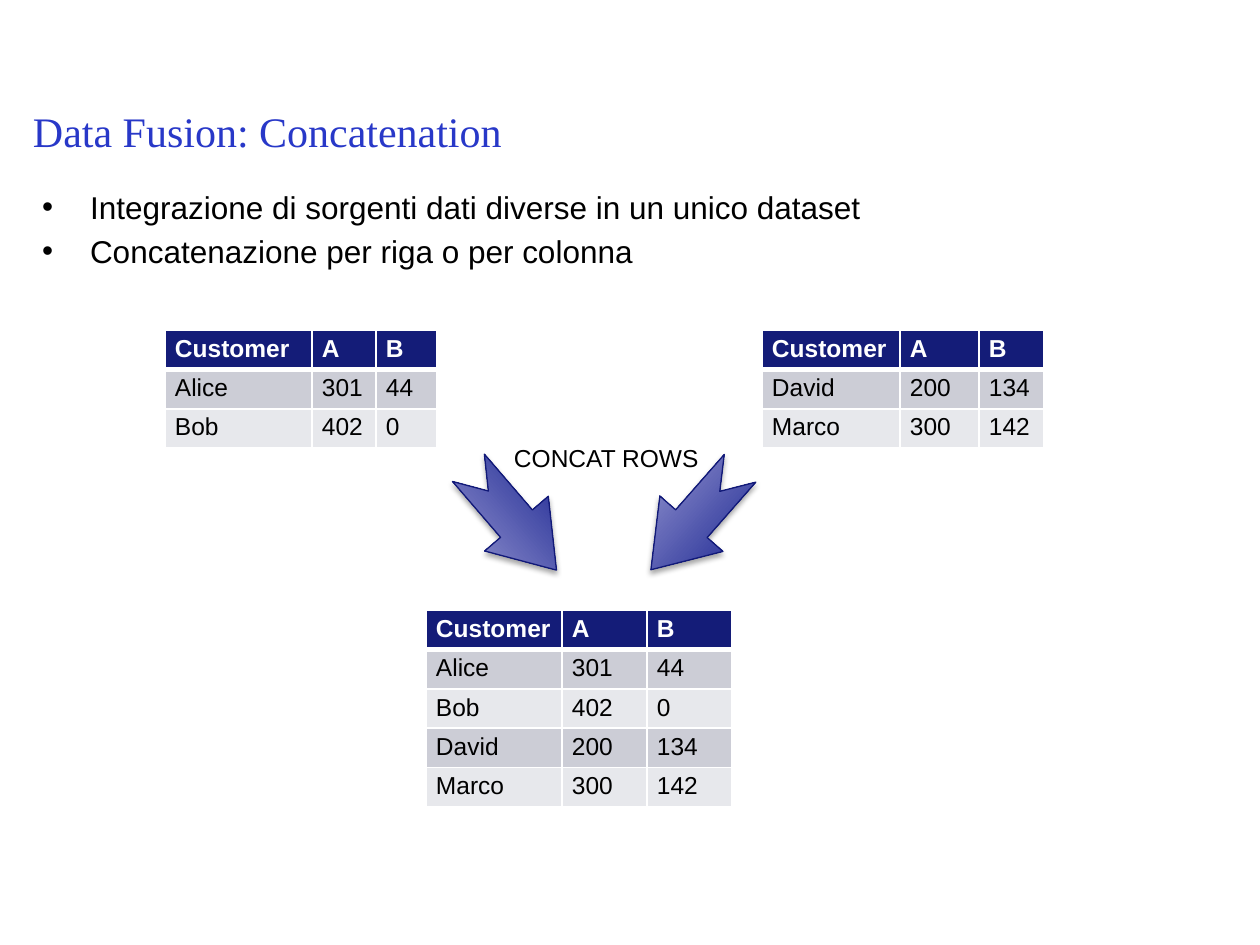
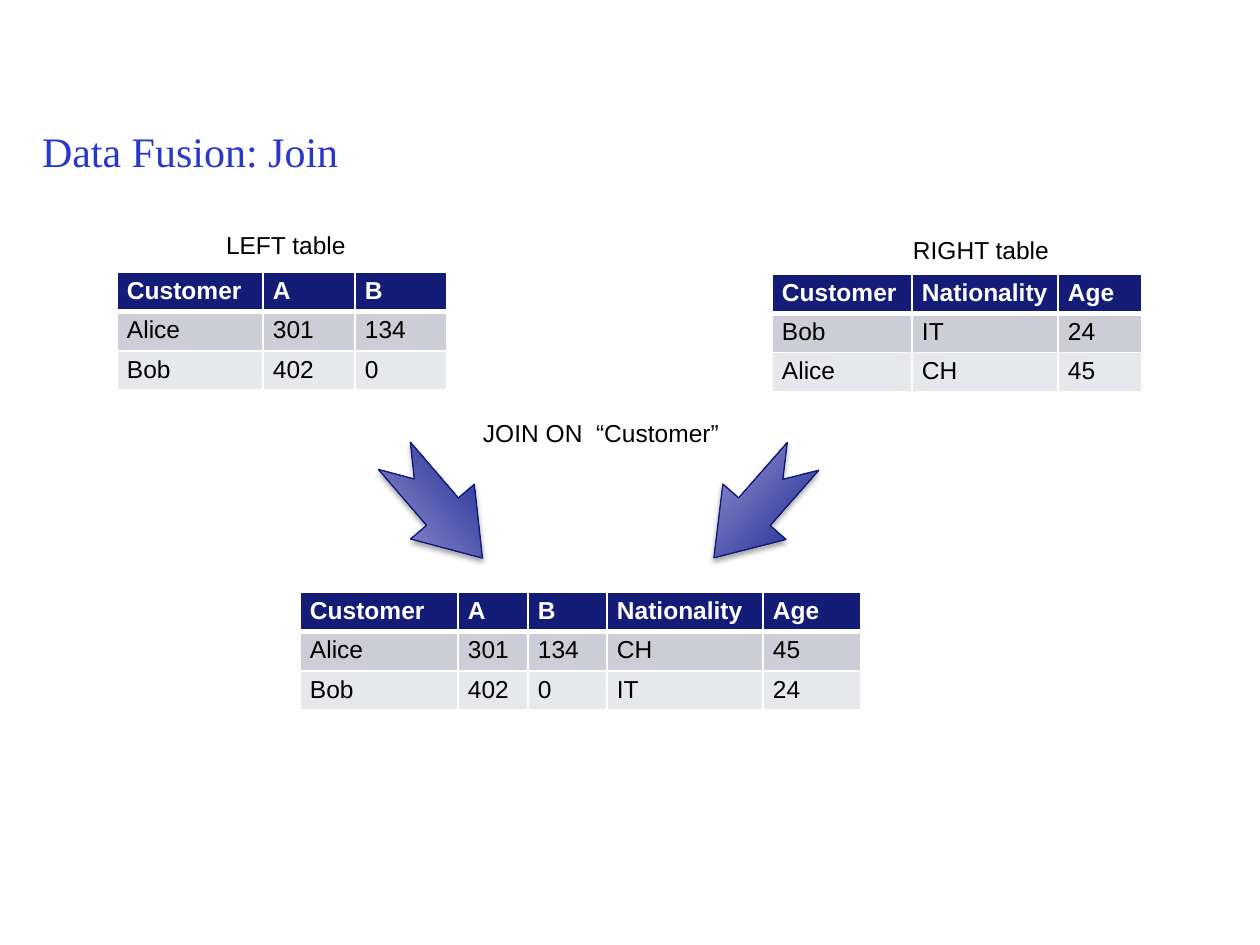
from lxml import etree
from pptx import Presentation, util as u
from pptx.dml.color import RGBColor
from pptx.enum import shapes, text
from pptx.oxml.ns import qn

PX = 914400 / 126
SERIF, SANS = "Times New Roman", "Arial"
BLUE, NAVY, BLACK, WHITE = "2838C8", "141C78", "000000", "FFFFFF"
BANDS = ["CCCDD6", "E7E8EC"]
ARROW_DARK, ARROW_LIGHT, ARROW_LINE = "050F87", "ACADDB", "111978"
ROW_HEIGHT = 39
ARROW_SIZE = (135, 84)
LEFT_TURN, RIGHT_TURN = 49.3, 131.3


def px(length):
    return u.Emu(round(length * PX))


def color(value):
    return RGBColor.from_string(value)


def add_xml(parent, tag, **attributes):
    return etree.SubElement(parent, qn(tag), attributes)


def set_font(para, size, tint, name=SANS, bold=False):
    para.font.size = u.Pt(size)
    para.font.name = name
    para.font.bold = bold
    para.font.color.rgb = color(tint)


def add_text(page, box, lines, size, tint=BLACK, name=SANS, wrap=True):
    frame = page.shapes.add_textbox(*map(px, box)).text_frame
    frame.word_wrap = wrap
    frame.margin_left = frame.margin_right = 0
    frame.margin_top = frame.margin_bottom = 0
    frame.vertical_anchor = text.MSO_ANCHOR.TOP
    frame.text = "\n".join(lines)
    for para in frame.paragraphs:
        set_font(para, size, tint, name)
    return frame


def add_title(page, left, top, title):
    add_text(page, (left, top, 1176, 100), [title], 24, BLUE, SERIF)


def add_label(page, box, label):
    add_text(page, box, [label], 14, wrap=False)


def add_bullets(page, box, lines):
    frame = add_text(page, box, lines, 18)
    for index, para in enumerate(frame.paragraphs):
        para.space_before = u.Pt(3.6 if index else 0)
        properties = para._p.get_or_add_pPr()
        properties.set("marL", str(px(48)))
        properties.set("indent", str(px(-48)))
        add_xml(properties, "a:buFont", typeface=SANS)
        add_xml(properties, "a:buChar", char="•")


def set_borders(cell, row):
    """White rules, thicker between the header and the body."""
    properties = cell._tc.get_or_add_tcPr()
    widths = {"L": 1, "R": 1, "T": 3 if row == 1 else 1, "B": 3 if row == 0 else 1}
    for index, (side, width) in enumerate(widths.items()):
        line = etree.Element(qn(f"a:ln{side}"), w=str(u.Pt(width)))
        add_xml(add_xml(line, "a:solidFill"), "a:srgbClr", val=WHITE)
        properties.insert(index, line)


def add_data_table(page, left, top, widths, rows):
    box = (left, top, sum(widths), ROW_HEIGHT * len(rows))
    table = page.shapes.add_table(len(rows), len(widths), *map(px, box)).table
    for column, width in zip(table.columns, widths):
        column.width = px(width)
    for r, values in enumerate(rows):
        header = r == 0
        table.rows[r].height = px(ROW_HEIGHT)
        for c, value in enumerate(values):
            cell = table.cell(r, c)
            cell.text = value
            # The narrower right margin keeps long headers on one line
            cell.margin_left, cell.margin_right = px(10), px(8)
            cell.margin_top = cell.margin_bottom = px(5)
            cell.fill.solid()
            cell.fill.fore_color.rgb = color(NAVY if header else BANDS[(r - 1) % 2])
            set_font(cell.text_frame.paragraphs[0], 14,
                     WHITE if header else BLACK, bold=header)
            set_borders(cell, r)


def add_arrow(page, left, top, turn):
    arrow = page.shapes.add_shape(shapes.MSO_SHAPE.NOTCHED_RIGHT_ARROW,
                                  *map(px, (left, top, *ARROW_SIZE)))
    arrow.rotation = turn
    arrow.adjustments[0], arrow.adjustments[1] = 0.5, 0.73
    arrow.fill.gradient()
    arrow.fill.gradient_angle = 90
    for stop, tint in zip(arrow.fill.gradient_stops, (ARROW_DARK, ARROW_LIGHT)):
        stop.color.rgb = color(tint)
    arrow.line.color.rgb = color(ARROW_LINE)
    arrow.line.width = u.Pt(0.75)
    arrow.shadow.inherit = False
    # Mirrored frame and soft shadow below
    properties = arrow._element.spPr
    properties.find(qn("a:xfrm")).set("flipV", "1")
    shadow = add_xml(properties.find(qn("a:effectLst")), "a:outerShdw",
                     blurRad="40000", dist="23000", dir="5400000", rotWithShape="0")
    add_xml(add_xml(shadow, "a:srgbClr", val=BLACK), "a:alpha", val="35000")


def add_arrow_pair(page, left, right, top):
    add_arrow(page, left, top, LEFT_TURN)
    add_arrow(page, right, top, RIGHT_TURN)


def build_concatenation(page):
    header = ["Customer", "A", "B"]
    first = [["Alice", "301", "44"], ["Bob", "402", "0"]]
    second = [["David", "200", "134"], ["Marco", "300", "142"]]

    add_title(page, 33, 106, "Data Fusion: Concatenation")
    add_bullets(page, (42, 188, 1176, 639), [
        "Integrazione di sorgenti dati diverse in un unico dataset",
        "Concatenazione per riga o per colonna"])
    # Sources and their stacked rows
    add_data_table(page, 165, 330, [147, 64, 61], [header] + first)
    add_data_table(page, 762, 330, [138, 79, 65], [header] + second)
    add_data_table(page, 426, 610, [136, 85, 85], [header] + first + second)
    add_arrow_pair(page, 445, 628, 477)
    add_label(page, (514, 443, 189, 30), "CONCAT ROWS")


def build_join(page):
    left = [["Customer", "A", "B"], ["Alice", "301", "134"], ["Bob", "402", "0"]]
    right = [["Customer", "Nationality", "Age"], ["Bob", "IT", "24"],
             ["Alice", "CH", "45"]]
    matches = {row[0]: row[1:] for row in right}
    joined = [row + matches[row[0]] for row in left]

    add_title(page, 42, 126, "Data Fusion: Join")
    # Sources and the joined table
    add_data_table(page, 117, 272, [146, 92, 92], left)
    add_data_table(page, 772, 274, [140, 146, 84], right)
    add_data_table(page, 300, 592, [158, 70, 79, 156, 98], joined)
    add_arrow_pair(page, 371, 691, 465)
    add_label(page, (483, 418, 237, 30), "JOIN ON  “Customer”")
    add_label(page, (226, 230, 121, 30), "LEFT table")
    add_label(page, (913, 235, 137, 30), "RIGHT table")


def main():
    deck = Presentation()
    deck.slide_width, deck.slide_height = px(1260), px(945)
    for build in (build_concatenation, build_join):
        build(deck.slides.add_slide(deck.slide_layouts[6]))
    deck.save("out.pptx")


if __name__ == "__main__":
    main()
